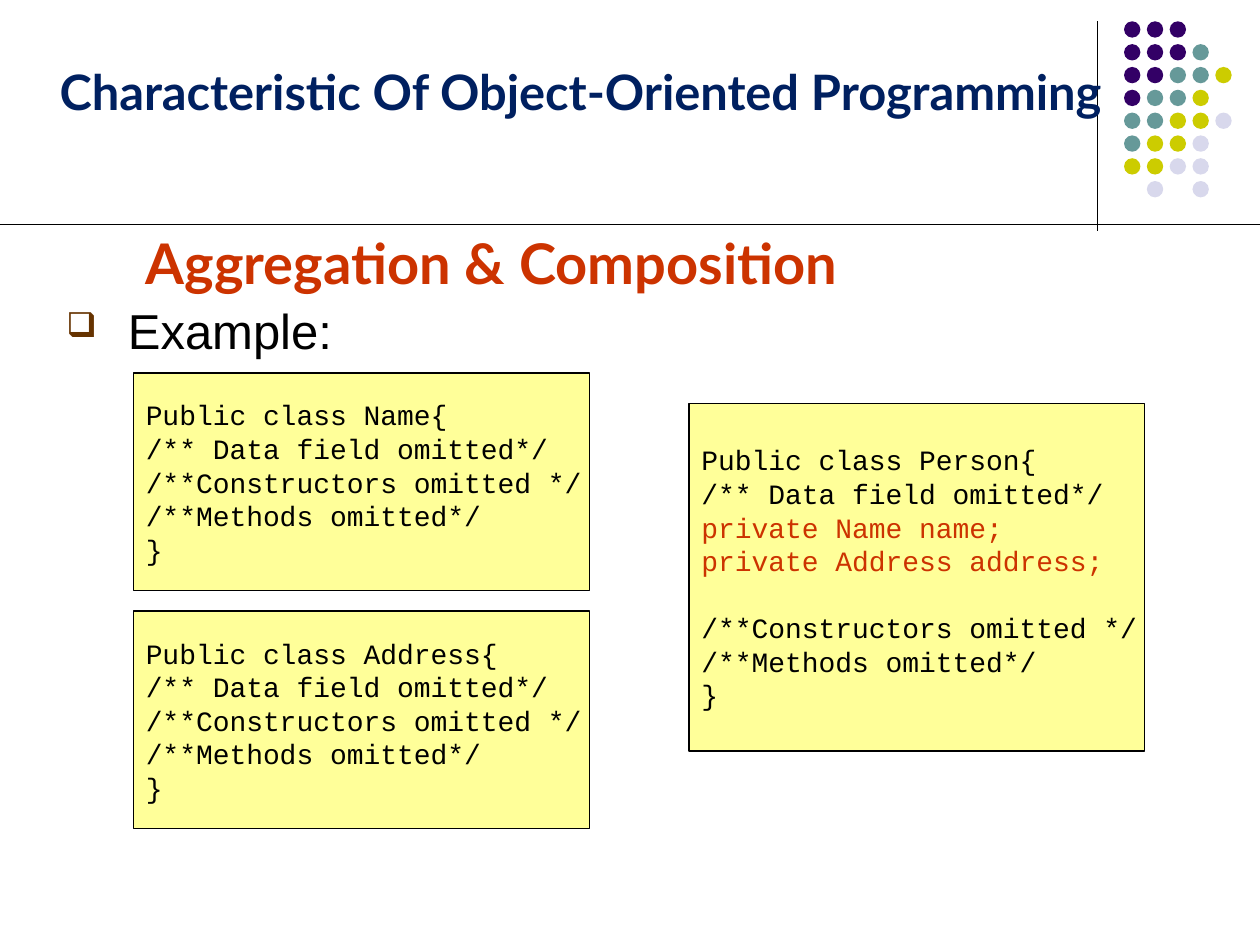
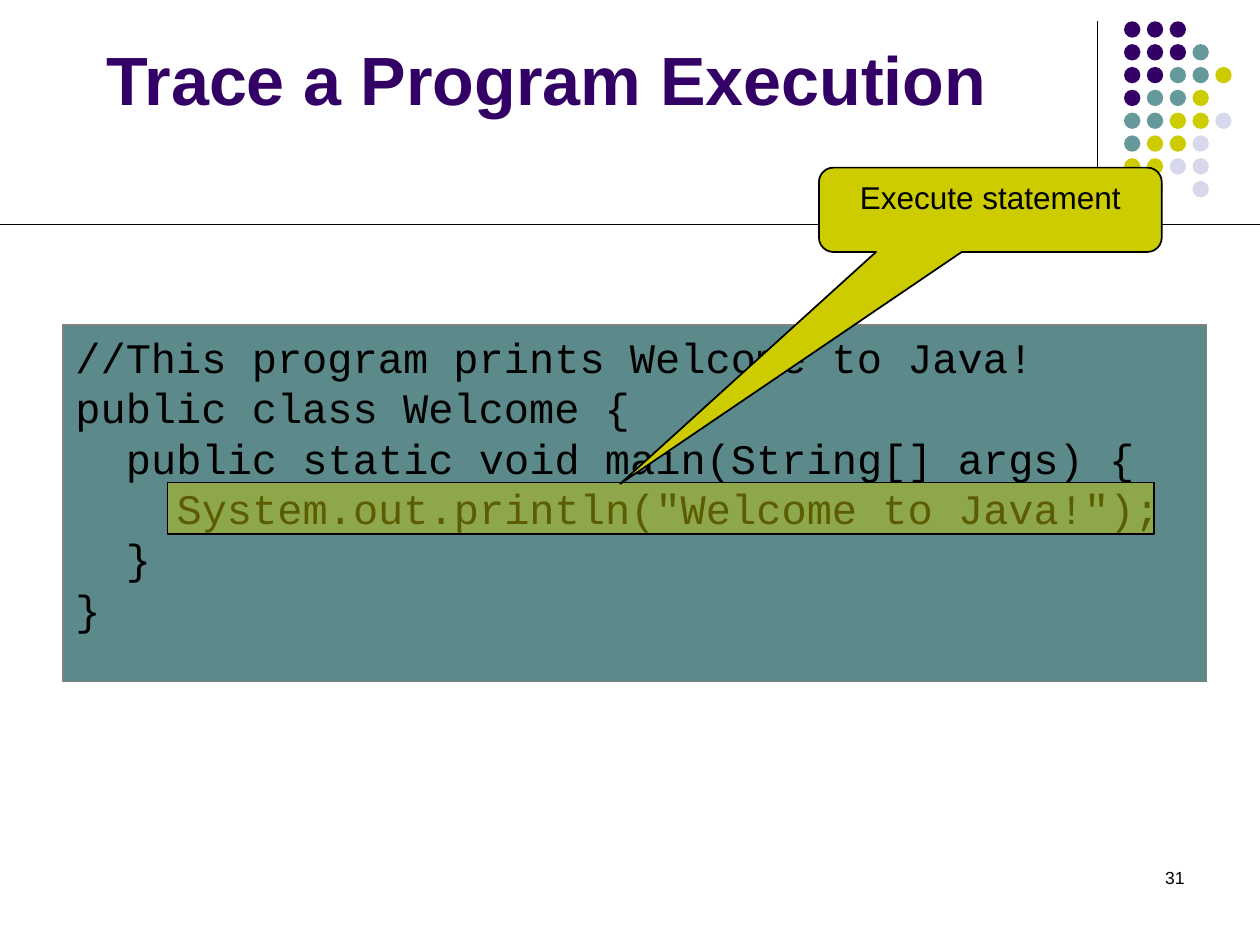
from dataclasses import dataclass
from lxml.etree import SubElement
from pptx import Presentation
from pptx.dml.color import RGBColor
from pptx.enum.shapes import MSO_CONNECTOR, MSO_SHAPE
from pptx.enum.text import MSO_ANCHOR, MSO_AUTO_SIZE, PP_ALIGN
from pptx.oxml.ns import qn
from pptx.util import Cm, Pt

CLASS_BOXES = [
    ((2.69, 7.52, 9.19, 4.39), [
        "Public class Name{",
        "/** Data field omitted*/",
        "/**Constructors omitted */",
        "/**Methods omitted*/",
        "}",
    ]),
    ((2.69, 12.32, 9.19, 4.39), [
        "Public class Address{",
        "/** Data field omitted*/",
        "/**Constructors omitted */",
        "/**Methods omitted*/",
        "}",
    ]),
    ((13.89, 8.13, 9.19, 7.01), [
        "Public class Person{",
        "/** Data field omitted*/",
        ("private Name name;", {"color": "CC3300"}),
        ("private Address address;", {"color": "CC3300", "space_after": Pt(19)}),
        "/**Constructors omitted */",
        "/**Methods omitted*/",
        "}",
    ]),
]
WELCOME_PROGRAM = [
    (0, "//This program prints Welcome to Java!"),
    (0, "public class Welcome {"),
    (1, "public static void main(String[] args) {"),
    (2, 'System.out.println("Welcome to Java!");'),
    (1, "}"),
    (0, "}"),
]
DOT_ROWS = ["PPP", "PPPT", "PPTTY", "PTTY", "TTYYL", "TYYL", "YYLL", "-L-L"]
RULES = [(22.12, 0.43, 22.12, 4.65), (0, 4.52, 25.4, 4.52)]


@dataclass(frozen=True)
class Theme:
    ink: str = "000000"
    purple: str = "330066"
    teal: str = "669999"
    lime: str = "CCCC00"
    lilac: str = "D8D8EC"
    navy: str = "002060"
    red: str = "CC3300"
    brown: str = "663300"
    paper: str = "FFFF99"
    panel: str = "5C8A8A"
    grey: str = "808080"
    sans: str = "Arial"
    heading: str = "Lato"
    mono: str = "Courier New"
    banner_size: float = 27.9
    topic_size: float = 32
    title_size: float = 39
    body_size: float = 28
    program_size: float = 24
    callout_size: float = 18
    class_size: float = 16
    page_size: float = 10


THEME = Theme()
DOT_COLORS = {"P": THEME.purple, "T": THEME.teal, "Y": THEME.lime, "L": THEME.lilac}


def apply(target, values):
    for attribute, value in values.items():
        setattr(target, attribute, value)


def lengths(values):
    return [Cm(value) for value in values]


def write(part, lines, size, font=THEME.sans, color=THEME.ink, bold=False,
          anchor=MSO_ANCHOR.TOP, wrap=True, **paragraph_format):
    frame = part.text_frame
    apply(frame, {
        "auto_size": MSO_AUTO_SIZE.NONE, "word_wrap": wrap, "vertical_anchor": anchor,
        "margin_left": Cm(0.25), "margin_right": Cm(0.25),
        "margin_top": Cm(0.13), "margin_bottom": Cm(0.13),
    })
    for index, line in enumerate(lines):
        text, own = line if isinstance(line, tuple) else (line, {})
        paragraph = frame.paragraphs[0] if index == 0 else frame.add_paragraph()
        line_format = {"alignment": PP_ALIGN.LEFT, **paragraph_format, **own}
        line_color = line_format.pop("color", color)
        apply(paragraph, line_format)
        run = paragraph.add_run()
        run.text = text
        apply(run.font, {"size": Pt(size), "name": font, "bold": bold})
        run.font.color.rgb = RGBColor.from_string(line_color)
    return frame


def add_text(slide, box, lines, size, **style):
    return write(slide.shapes.add_textbox(*lengths(box)), lines, size, **style)


def add_panel(slide, kind, box, fill, line=None, width=0.75):
    panel = slide.shapes.add_shape(kind, *lengths(box))
    panel.shadow.inherit = False
    panel.fill.solid()
    panel.fill.fore_color.rgb = RGBColor.from_string(fill)
    if line:
        panel.line.color.rgb = RGBColor.from_string(line)
        panel.line.width = Pt(width)
    else:
        panel.line.fill.background()
    return panel


def set_title(slide, box, text, size, **style):
    title = slide.shapes.title
    apply(title, dict(zip(("left", "top", "width", "height"), lengths(box))))
    write(title, [text], size, bold=True, **style)


def add_bullet(paragraph, symbol, color, percent, indent):
    properties = paragraph._p.get_or_add_pPr()
    properties.set("marL", str(Cm(indent)))
    properties.set("indent", str(-Cm(indent)))
    bullet_color = SubElement(properties, qn("a:buClr"))
    SubElement(bullet_color, qn("a:srgbClr"), val=color)
    SubElement(properties, qn("a:buSzPct"), val=str(percent * 1000))
    SubElement(properties, qn("a:buChar"), char=symbol)


def add_themed_slide(deck):
    slide = deck.slides.add_slide(deck.slide_layouts[5])
    for ends in RULES:
        rule = slide.shapes.add_connector(MSO_CONNECTOR.STRAIGHT, *lengths(ends))
        rule.line.color.rgb = RGBColor.from_string(THEME.ink)
        rule.line.width = Pt(0.75)
        SubElement(rule._element.spPr, qn("a:effectLst"))
    left, top, pitch, diameter = 22.66, 0.43, 0.46, 0.33
    for row, dots in enumerate(DOT_ROWS):
        for column, dot in enumerate(dots):
            if dot in DOT_COLORS:
                box = (left + column * pitch, top + row * pitch, diameter, diameter)
                add_panel(slide, MSO_SHAPE.OVAL, box, DOT_COLORS[dot])
    return slide


def build_aggregation(deck):
    slide = add_themed_slide(deck)
    add_text(slide, (0.91, 0.58, 21.59, 2.74),
             ["Characteristic Of Object-Oriented Programming"], THEME.banner_size,
             font=THEME.heading, color=THEME.navy, bold=True, wrap=False,
             anchor=MSO_ANCHOR.MIDDLE, alignment=PP_ALIGN.CENTER, line_spacing=0.8)
    set_title(slide, (2.69, 4.22, 18.75, 2.11), "Aggregation & Composition",
              THEME.topic_size, font=THEME.heading, color=THEME.red,
              anchor=MSO_ANCHOR.MIDDLE)
    example = add_text(slide, (1.09, 5.92, 22.81, 11.43), ["Example:"],
                       THEME.body_size, space_before=Pt(7))
    add_bullet(example.paragraphs[0], "❑", THEME.brown, 70, 1.24)
    for box, code in CLASS_BOXES:
        class_box = add_panel(slide, MSO_SHAPE.RECTANGLE, box, THEME.paper, THEME.ink)
        write(class_box, code, THEME.class_size, font=THEME.mono,
              anchor=MSO_ANCHOR.MIDDLE, wrap=False)


def build_trace(deck):
    slide = add_themed_slide(deck)
    set_title(slide, (1.9, 1.07, 21.59, 1.47), "Trace a Program Execution",
              THEME.title_size, color=THEME.purple, anchor=MSO_ANCHOR.BOTTOM)
    add_text(slide, (18.21, 17.35, 5.92, 1.27), ["31"], THEME.page_size,
             alignment=PP_ALIGN.RIGHT)

    program = add_panel(slide, MSO_SHAPE.RECTANGLE, (1.27, 6.55, 23.06, 7.19),
                        THEME.panel, THEME.grey)
    code = write(program, [text for depth, text in WELCOME_PROGRAM],
                 THEME.program_size, font=THEME.mono)
    code.paragraphs[0].space_before = Pt(6)
    for paragraph, (depth, text) in zip(code.paragraphs, WELCOME_PROGRAM):
        paragraph._p.get_or_add_pPr().set("marL", str(Cm(1.02 * depth)))

    statement = add_panel(slide, MSO_SHAPE.RECTANGLE, (3.38, 9.73, 19.89, 1.04),
                          THEME.lime, THEME.ink, 1)
    tint = statement._element.spPr.find(qn("a:solidFill"))[0]
    SubElement(tint, qn("a:alpha"), val="45000")

    callout = add_panel(slide, MSO_SHAPE.ROUNDED_RECTANGULAR_CALLOUT,
                        (16.51, 3.38, 6.91, 1.7), THEME.lime, THEME.ink, 1)
    for index, adjustment in enumerate((-1.08, 3.25, 0.17)):
        callout.adjustments[index] = adjustment
    write(callout, ["Execute statement"], THEME.callout_size, alignment=PP_ALIGN.CENTER)


def main():
    deck = Presentation()
    apply(deck, {"slide_width": Cm(25.4), "slide_height": Cm(19.05)})
    build_aggregation(deck)
    build_trace(deck)
    deck.save("out.pptx")


if __name__ == "__main__":
    main()
